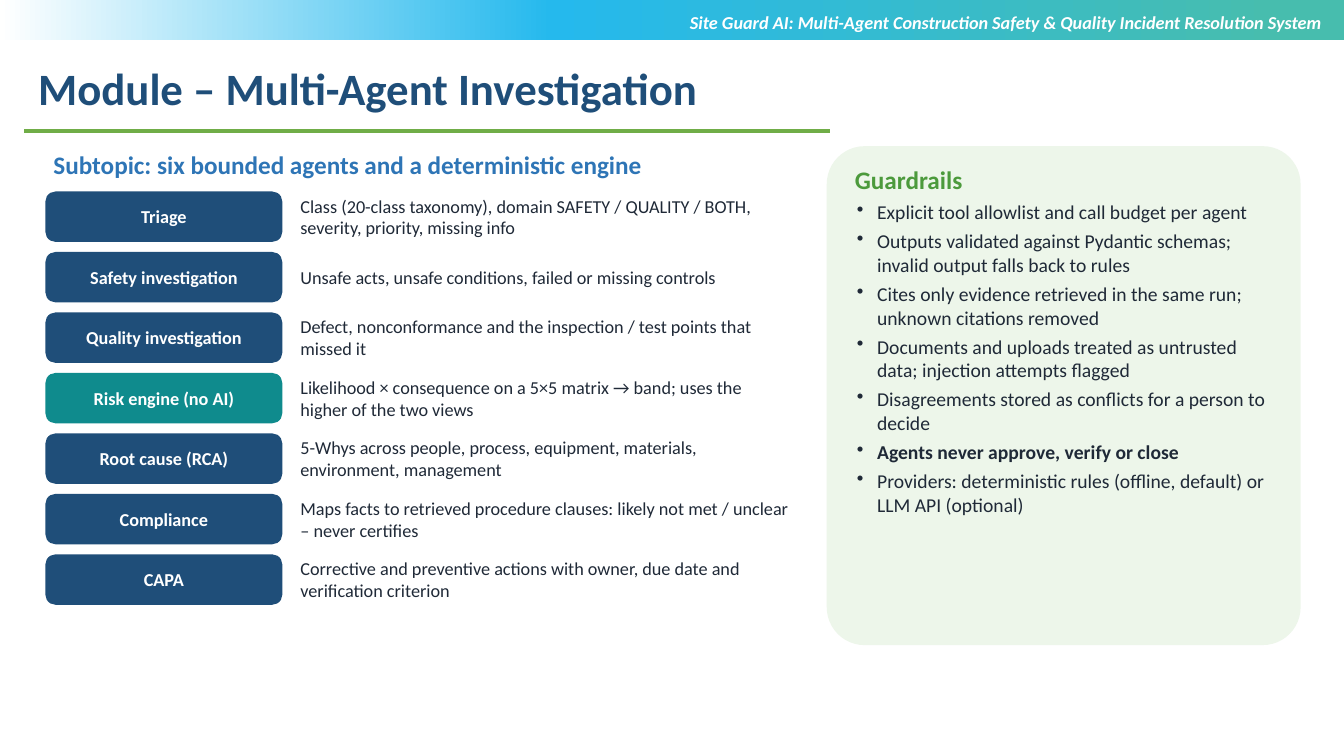
from copy import deepcopy
from dataclasses import dataclass

from pptx import Presentation
from pptx import util as u
from pptx.dml.color import RGBColor
from pptx.enum import shapes, text
from pptx.oxml import parse_xml
from pptx.oxml.ns import nsdecls, qn


@dataclass(frozen=True)
class Theme:
    font: str = "Calibri"
    navy: str = "1F4E79"
    blue: str = "2E75B6"
    teal: str = "0F8B8D"
    green: str = "4C9A3C"
    rule: str = "70AD47"
    panel: str = "EDF6EA"
    ink: str = "1F2937"
    white: str = "FFFFFF"
    banner: tuple = ((0.05, "47BDAE"), (0.59, "25B9ED"), (1, "FFFFFF"))
    title_size: int = 32
    heading_size: int = 18
    bullet_size: int = 14
    body_size: int = 13


def set_all(target, values):
    for name, value in values.items():
        setattr(target, name, value)


class SlideBuilder:
    def __init__(self, slide, theme):
        self.slide = slide
        self.theme = theme

    def shape(self, kind, box, color=None, corner=None):
        shape = self.slide.shapes.add_shape(kind, *map(u.Inches, box))
        shape.shadow.inherit = False
        shape.line.fill.background()
        if color:
            shape.fill.solid()
            shape.fill.fore_color.rgb = RGBColor.from_string(color)
        if corner is not None:
            shape.adjustments[0] = corner
        return shape

    def banner(self, box):
        shape = self.shape(shapes.MSO_SHAPE.RECTANGLE, box)
        shape.fill.gradient()
        shape.fill.gradient_angle = 180
        stop_list = shape.element.spPr.find(qn("a:gradFill")).find(qn("a:gsLst"))
        stop_list.append(deepcopy(stop_list[0]))
        for stop, (position, color) in zip(shape.fill.gradient_stops, self.theme.banner):
            stop.position = position
            stop.color.rgb = RGBColor.from_string(color)

    def rule(self, left, right, top):
        line = self.slide.shapes.add_connector(
            shapes.MSO_CONNECTOR.STRAIGHT, *map(u.Inches, (left, top, right, top)))
        line.line.color.rgb = RGBColor.from_string(self.theme.rule)
        line.line.width = u.Pt(2.25)
        line.element.spPr.append(parse_xml(f"<a:effectLst {nsdecls('a')}/>"))

    def frame(self, shape, inset=None, **values):
        """Set up wrapping and anchoring; inset is one margin for all four sides."""
        frame = shape.text_frame
        set_all(frame, {"word_wrap": True, "vertical_anchor": text.MSO_ANCHOR.TOP, **values})
        if inset is not None:
            sides = ("left", "top", "right", "bottom")
            set_all(frame, {f"margin_{side}": u.Inches(inset) for side in sides})
        return frame

    def text_box(self, box, inset=None, **values):
        return self.frame(self.slide.shapes.add_textbox(*map(u.Inches, box)), inset, **values)

    def add_text(self, frame, words, size, color, bold=False, italic=False,
                 align=text.PP_ALIGN.LEFT, after=4, bullet=False):
        """Fill the frame's empty first paragraph, or add a new one."""
        first = frame.paragraphs[0]
        paragraph = frame.add_paragraph() if first.runs else first
        set_all(paragraph, {"alignment": align, "space_after": u.Pt(after)})
        if bullet:
            properties = paragraph._p.get_or_add_pPr()
            properties.set("marL", str(u.Inches(0.22)))
            properties.set("indent", str(u.Inches(-0.2)))
            properties.append(parse_xml(f'<a:buChar {nsdecls("a")} char="•"/>'))
        run = paragraph.add_run()
        run.text = words
        set_all(run.font, {"name": self.theme.font, "size": u.Pt(size),
                           "bold": bold, "italic": italic})
        run.font.color.rgb = RGBColor.from_string(color)

    def agent_row(self, top, name, duty, color):
        theme = self.theme
        middle = text.MSO_ANCHOR.MIDDLE
        badge = self.shape(shapes.MSO_SHAPE.ROUNDED_RECTANGLE, (0.45, top, 2.35, 0.5), color, 0.2)
        self.add_text(self.frame(badge, 0.03, vertical_anchor=middle), name, theme.body_size,
                      theme.white, bold=True, align=text.PP_ALIGN.CENTER)
        self.add_text(self.text_box((2.9, top, 5, 0.5), 0.08, vertical_anchor=middle),
                      duty, theme.body_size, theme.ink)


AGENTS = (
    ("Triage", "Class (20-class taxonomy), domain SAFETY / QUALITY / BOTH, "
               "severity, priority, missing info"),
    ("Safety investigation", "Unsafe acts, unsafe conditions, failed or missing controls"),
    ("Quality investigation", "Defect, nonconformance and the inspection / test points "
                              "that missed it"),
    ("Risk engine (no AI)", "Likelihood × consequence on a 5×5 matrix → band; "
                            "uses the higher of the two views"),
    ("Root cause (RCA)", "5-Whys across people, process, equipment, materials, "
                         "environment, management"),
    ("Compliance", "Maps facts to retrieved procedure clauses: likely not met / unclear "
                   "– never certifies"),
    ("CAPA", "Corrective and preventive actions with owner, due date and "
             "verification criterion"),
)
DETERMINISTIC = "Risk engine (no AI)"
GUARDRAILS = (
    "Explicit tool allowlist and call budget per agent",
    "Outputs validated against Pydantic schemas; invalid output falls back to rules",
    "Cites only evidence retrieved in the same run; unknown citations removed",
    "Documents and uploads treated as untrusted data; injection attempts flagged",
    "Disagreements stored as conflicts for a person to decide",
    "Agents never approve, verify or close",
    "Providers: deterministic rules (offline, default) or LLM API (optional)",
)
KEY_GUARDRAIL = "Agents never approve, verify or close"


def main():
    presentation = Presentation()
    set_all(presentation, {"slide_width": u.Inches(13.33), "slide_height": u.Inches(7.5)})
    theme = Theme()
    builder = SlideBuilder(presentation.slides.add_slide(presentation.slide_layouts[6]), theme)

    builder.banner((0, 0, 13.33, 0.4))
    grow = text.MSO_AUTO_SIZE.SHAPE_TO_FIT_TEXT
    builder.add_text(builder.text_box((0.28, 0.55, 11.62, 0.71), auto_size=grow),
                     "Module – Multi-Agent Investigation", theme.title_size, theme.navy,
                     bold=True, after=0)
    builder.rule(0.24, 8.23, 1.3)
    builder.add_text(builder.text_box((4.35, 0.06, 8.85, 0.71), auto_size=grow),
                     "Site Guard AI: Multi-Agent Construction Safety & Quality "
                     "Incident Resolution System", theme.body_size, theme.white,
                     bold=True, italic=True, align=text.PP_ALIGN.RIGHT, after=0)

    builder.add_text(builder.text_box((0.45, 1.4, 7.4, 0.4), 0.08),
                     "Subtopic: six bounded agents and a deterministic engine",
                     theme.heading_size, theme.blue, bold=True)
    for row, (name, duty) in enumerate(AGENTS):
        color = theme.teal if name == DETERMINISTIC else theme.navy
        builder.agent_row(1.9 + 0.6 * row, name, duty, color)

    builder.shape(shapes.MSO_SHAPE.ROUNDED_RECTANGLE, (8.2, 1.45, 4.7, 4.95), theme.panel, 0.08)
    guardrails = builder.text_box((8.4, 1.55, 4.3, 4.8), 0.08)
    builder.add_text(guardrails, "Guardrails", theme.heading_size, theme.green, bold=True)
    for guardrail in GUARDRAILS:
        builder.add_text(guardrails, guardrail, theme.bullet_size, theme.ink,
                         bold=guardrail == KEY_GUARDRAIL, bullet=True)

    presentation.save("out.pptx")


if __name__ == "__main__":
    main()
